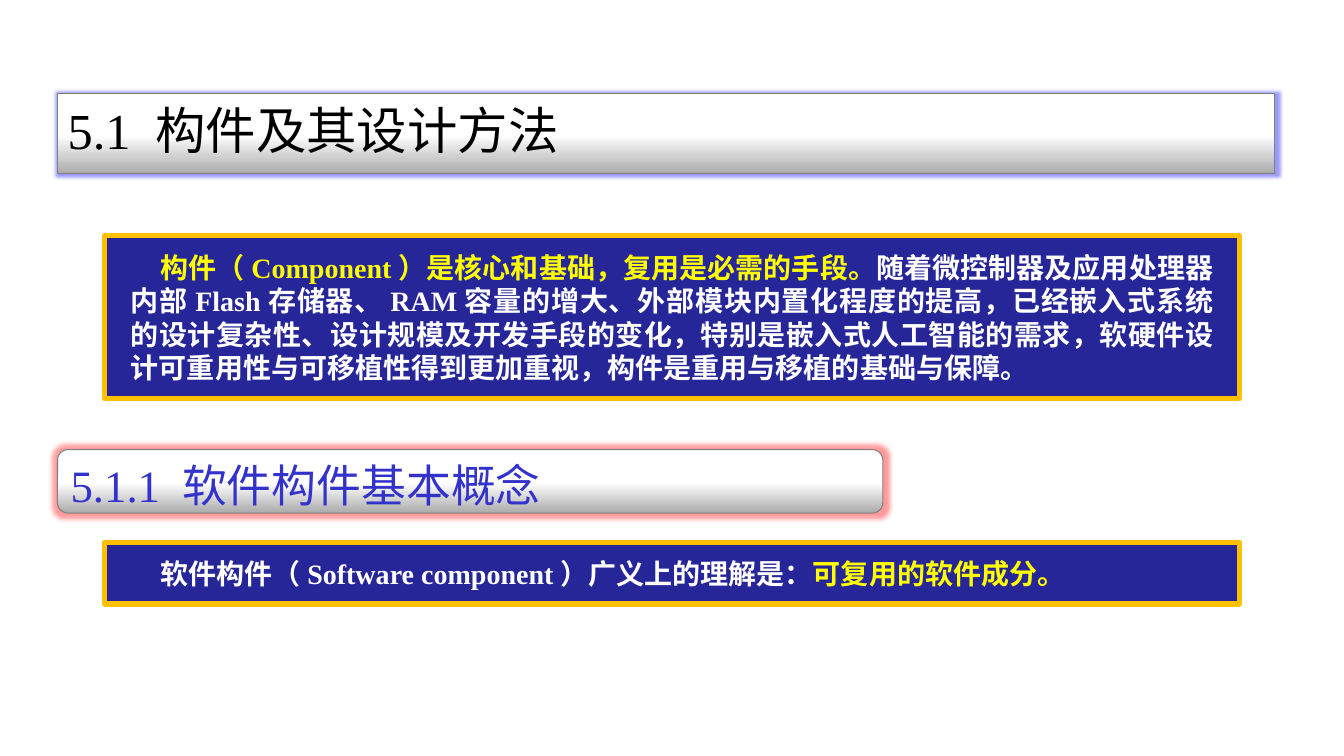
from dataclasses import dataclass

from lxml import etree
from pptx import Presentation
from pptx.dml import color
from pptx.enum import shapes, text
from pptx.oxml import ns
from pptx.util import Cm, Pt

FONT = "Times New Roman"
YELLOW, WHITE = "FFFF00", "FFFFFF"


@dataclass
class Heading:
    wording: str
    top: float
    width: float
    height: float
    size: int
    ink: str
    glow: str
    glow_radius: float


@dataclass
class Panel:
    spans: list[tuple[str, str]]
    top: float
    height: float


HEADINGS = [
    Heading("5.1 构件及其设计方法", 2.36, 30.68, 2.01, 36, "000000", "3333FF", 5),
    Heading("5.1.1 软件构件基本概念", 11.33, 20.8, 1.6, 32, "3333CC", "FF3333", 7),
]
PANELS = [
    Panel([
        ("构件（Component）是核心和基础，复用是必需的手段。", YELLOW),
        ("随着微控制器及应用处理器内部Flash存储器、RAM容量的增大、外部模块内置化程度的提高，"
         "已经嵌入式系统的设计复杂性、设计规模及开发手段的变化，特别是嵌入式人工智能的需求，"
         "软硬件设计可重用性与可移植性得到更加重视，构件是重用与移植的基础与保障。", WHITE),
    ], 5.94, 4.11),
    Panel([
        ("软件构件（Software component）广义上的理解是：", WHITE),
        ("可复用的软件成分。", YELLOW),
    ], 13.67, 1.55),
]


def rgb(value: str) -> color.RGBColor:
    return color.RGBColor.from_string(value)


def place(box, left: float, top: float, width: float, height: float) -> None:
    box.left, box.top, box.width, box.height = map(Cm, (left, top, width, height))


def round_corners(box) -> None:
    """Give a placeholder the rounded outline that it cannot get from its type."""
    outline = etree.Element(ns.qn("a:prstGeom"), prst="roundRect")
    etree.SubElement(outline, ns.qn("a:avLst"))
    box.element.spPr.xfrm.addnext(outline)


def add_glow(box, ink: str, radius: float) -> None:
    box.shadow.inherit = False
    effects = box.element.spPr.find(ns.qn("a:effectLst"))
    glow = etree.SubElement(effects, ns.qn("a:glow"), rad=str(Pt(radius)))
    tint = etree.SubElement(glow, ns.qn("a:srgbClr"), val=ink)
    etree.SubElement(tint, ns.qn("a:alpha"), val="50000")


def style_heading(box, heading: Heading) -> None:
    place(box, 1.45, heading.top, heading.width, heading.height)
    box.fill.gradient()
    box.fill.gradient_angle = 90
    stops = [("ABABAB", 0), (WHITE, 0.48)]
    for stop, (ink, position) in zip(box.fill.gradient_stops, stops):
        stop.color.rgb = rgb(ink)
        stop.position = position
    box.line.color.rgb = rgb("808080")
    box.line.width = Pt(0.75)
    add_glow(box, heading.glow, heading.glow_radius)

    frame = box.text_frame
    frame.word_wrap = True
    frame.auto_size = text.MSO_AUTO_SIZE.NONE
    frame.vertical_anchor = text.MSO_ANCHOR.TOP
    para = frame.paragraphs[0]
    para.text = heading.wording
    para.alignment = text.PP_ALIGN.LEFT
    para.font.name = FONT
    para.font.size = Pt(heading.size)
    para.font.color.rgb = rgb(heading.ink)


def add_panel(page, panel: Panel) -> None:
    box = page.shapes.add_shape(shapes.MSO_SHAPE.RECTANGLE, 0, 0, 0, 0)
    place(box, 2.64, panel.top, 28.6, panel.height)
    box.shadow.inherit = False
    box.fill.solid()
    box.fill.fore_color.rgb = rgb("262699")
    box.line.color.rgb = rgb("FFC000")
    box.line.width = Pt(3.75)

    frame = box.text_frame
    frame.word_wrap = True
    frame.vertical_anchor = text.MSO_ANCHOR.MIDDLE
    frame.margin_left = frame.margin_right = Cm(0.66)
    frame.margin_top = frame.margin_bottom = Cm(0.36)
    para = frame.paragraphs[0]
    para.alignment = text.PP_ALIGN.JUSTIFY
    para.line_spacing = Pt(24)
    para.font.name = FONT
    para.font.size = Pt(20)
    para.font.bold = True
    para._p.get_or_add_pPr().set("indent", str(Cm(0.74)))
    for wording, ink in panel.spans:
        span = para.add_run()
        span.text = wording
        span.font.color.rgb = rgb(ink)


def main() -> None:
    deck = Presentation()
    deck.slide_width, deck.slide_height = Cm(33.87), Cm(19.05)
    page = deck.slides.add_slide(deck.slide_layouts.get_by_name("Title Only"))

    chapter, section = HEADINGS
    title = page.shapes.title
    style_heading(title, chapter)
    round_corners(title)
    subtitle = page.shapes.add_shape(shapes.MSO_SHAPE.ROUNDED_RECTANGLE, 0, 0, 0, 0)
    style_heading(subtitle, section)
    for panel in PANELS:
        add_panel(page, panel)
    deck.save("out.pptx")


if __name__ == "__main__":
    main()
